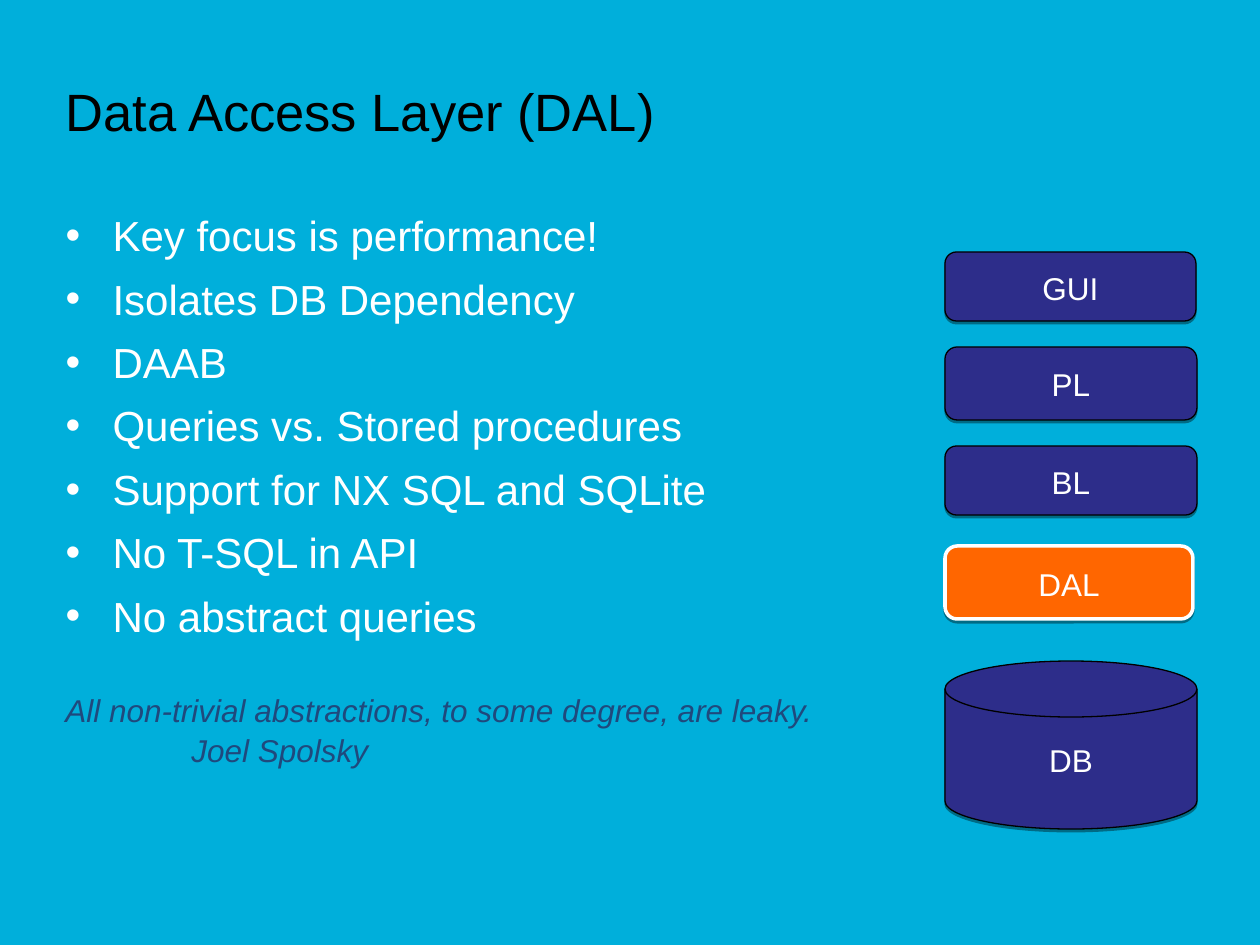
"""Build the Data Access Layer slide."""
from dataclasses import dataclass

from lxml.etree import SubElement
from pptx import Presentation
from pptx.dml.color import RGBColor
from pptx.enum.shapes import MSO_SHAPE
from pptx.enum.text import MSO_ANCHOR, MSO_AUTO_SIZE, PP_ALIGN
from pptx.oxml.ns import qn
from pptx.util import Emu, Pt


@dataclass(frozen=True)
class Theme:
    """Hold colours, type sizes and scale."""
    back: str = "00AFDB"
    ink: str = "000000"
    light: str = "FFFFFF"
    quote: str = "1F497D"
    navy: str = "2D2D8A"
    hot: str = "FF6600"
    font: str = "Arial"
    head: int = 30
    body: int = 24
    small: int = 18
    scale: float = 914400 / 126


def color(code):
    """Turn a hex code into a colour."""
    return RGBColor.from_string(code)


def write(para, text, *, font, size, tint, italic=False, align=PP_ALIGN.LEFT,
          before=0, lead=1.05, mark=None, hang=0):
    """Fill a paragraph with formatted text."""
    para.text = text
    para.alignment = align
    para.space_before = Pt(before)
    para.line_spacing = lead
    if mark:
        props = para._p.get_or_add_pPr()
        props.set("marL", str(hang))
        props.set("indent", str(-hang))
        fill = SubElement(props, qn("a:buClr"))
        SubElement(fill, qn("a:srgbClr"), val=tint)
        SubElement(props, qn("a:buFont"), typeface=font)
        SubElement(props, qn("a:buChar"), char=mark)
    para.font.name = font
    para.font.size = Pt(size)
    para.font.italic = italic
    para.font.color.rgb = color(tint)


class Deck:
    """Draw styled elements on the current slide."""

    def __init__(self, theme, wide, high):
        """Start a deck of the given size."""
        self.theme = theme
        self.show = Presentation()
        self.show.slide_width = self.unit(wide)
        self.show.slide_height = self.unit(high)
        self.slide = self.show.slides.add_slide(self.show.slide_layouts[1])
        fill = self.slide.background.fill
        fill.solid()
        fill.fore_color.rgb = color(theme.back)

    def unit(self, size):
        """Turn px into EMU."""
        return Emu(round(size * self.theme.scale))

    def place(self, shape, box):
        """Move a shape to its box and give back its text frame."""
        shape.left, shape.top, shape.width, shape.height = map(self.unit, box)
        frame = shape.text_frame
        frame.word_wrap = True
        frame.auto_size = MSO_AUTO_SIZE.NONE
        return frame

    def title(self, text, box):
        """Set the title."""
        look = self.theme
        frame = self.place(self.slide.shapes.title, box)
        frame.vertical_anchor = MSO_ANCHOR.MIDDLE
        write(frame.paragraphs[0], text, font=look.font, size=look.head,
              tint=look.ink)

    def bullets(self, lines, box):
        """Set the bullet list."""
        look = self.theme
        frame = self.place(self.slide.placeholders[1], box)
        frame.vertical_anchor = MSO_ANCHOR.TOP
        for index, line in enumerate(lines):
            para = frame.add_paragraph() if index else frame.paragraphs[0]
            write(para, line, font=look.font, size=look.body, tint=look.light,
                  before=6 if index else 0, mark="•", hang=self.unit(47))

    def quote(self, text, box):
        """Add an italic quote."""
        look = self.theme
        shape = self.slide.shapes.add_textbox(*map(self.unit, box))
        frame = self.place(shape, box)
        write(frame.paragraphs[0], text, font=look.font, size=look.small,
              tint=look.quote, italic=True)

    def block(self, text, box, kind=MSO_SHAPE.ROUNDED_RECTANGLE, hot=False):
        """Add a labelled block with a soft shadow."""
        look = self.theme
        shape = self.slide.shapes.add_shape(kind, *map(self.unit, box))
        shape.fill.solid()
        shape.fill.fore_color.rgb = color(look.hot if hot else look.navy)
        shape.line.color.rgb = color(look.light if hot else look.ink)
        shape.line.width = Pt(2 if hot else 0.75)
        shape.shadow.inherit = False
        glow = shape._element.spPr.find(qn("a:effectLst"))
        cast = SubElement(glow, qn("a:outerShdw"), dist="20000",
                          dir="5400000", rotWithShape="0")
        shade = SubElement(cast, qn("a:srgbClr"), val=look.ink)
        SubElement(shade, qn("a:alpha"), val="38000")
        frame = self.place(shape, box)
        frame.vertical_anchor = MSO_ANCHOR.MIDDLE
        write(frame.paragraphs[0], text, font=look.font, size=look.small,
              tint=look.light, align=PP_ALIGN.CENTER)

    def save(self):
        """Save the deck."""
        self.show.save("out.pptx")


def main():
    """Compose the slide."""
    deck = Deck(Theme(), 1260, 945)
    deck.title("Data Access Layer (DAL)", (53, 38, 1155, 141))
    deck.bullets([
        "Key focus is performance!",
        "Isolates DB Dependency",
        "DAAB",
        "Queries vs. Stored procedures",
        "Support for NX SQL and SQLite",
        "No T-SQL in API",
        "No abstract queries",
    ], (53, 201, 1155, 643))
    deck.quote("All non-trivial abstractions, to some degree, are leaky."
               "\v\t\tJoel Spolsky", (53, 683, 788, 88))
    left = 945
    deck.block("DB", (left, 661, 252, 168), MSO_SHAPE.FLOWCHART_MAGNETIC_DISK)
    layers = [("GUI", 252, 251, 69), ("PL", 347, 252, 73),
              ("BL", 446, 252, 69), ("DAL", 546, 248, 73)]
    for name, top, wide, high in layers:
        deck.block(name, (left, top, wide, high), hot=name == "DAL")
    deck.save()


if __name__ == "__main__":
    main()
